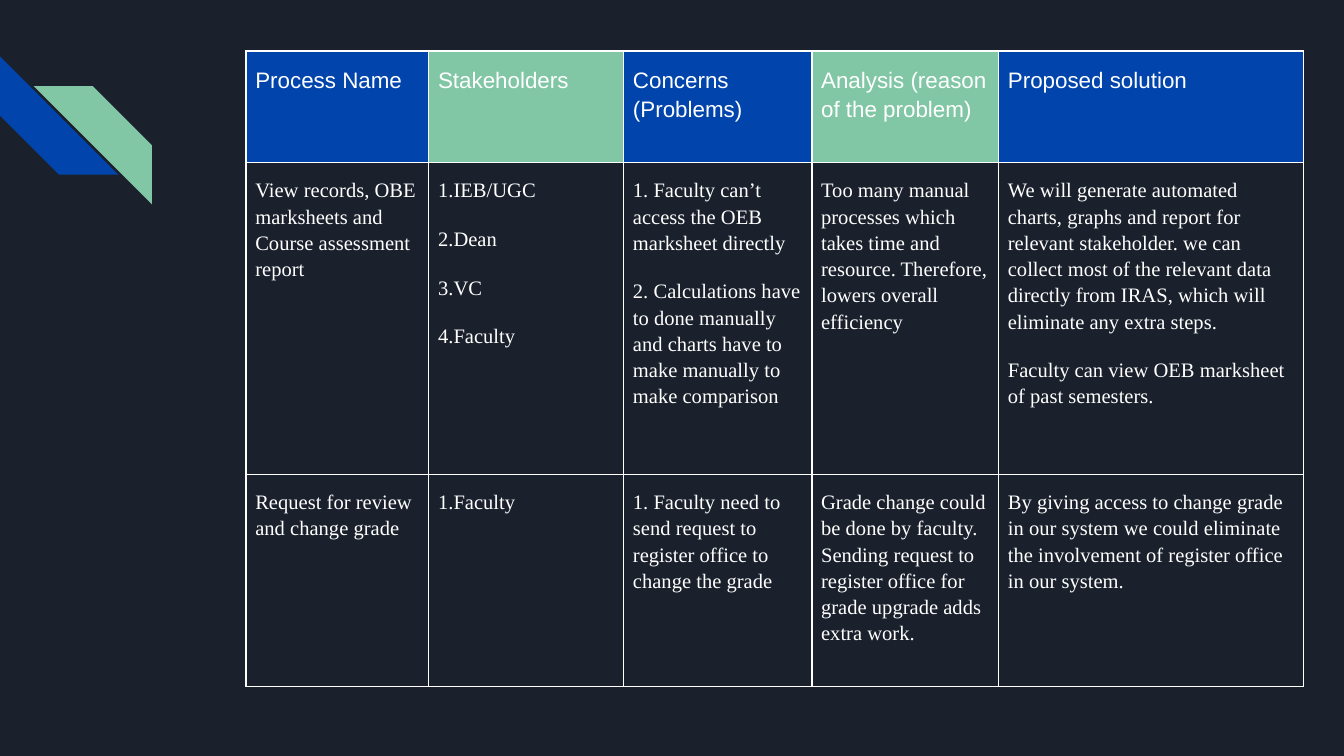
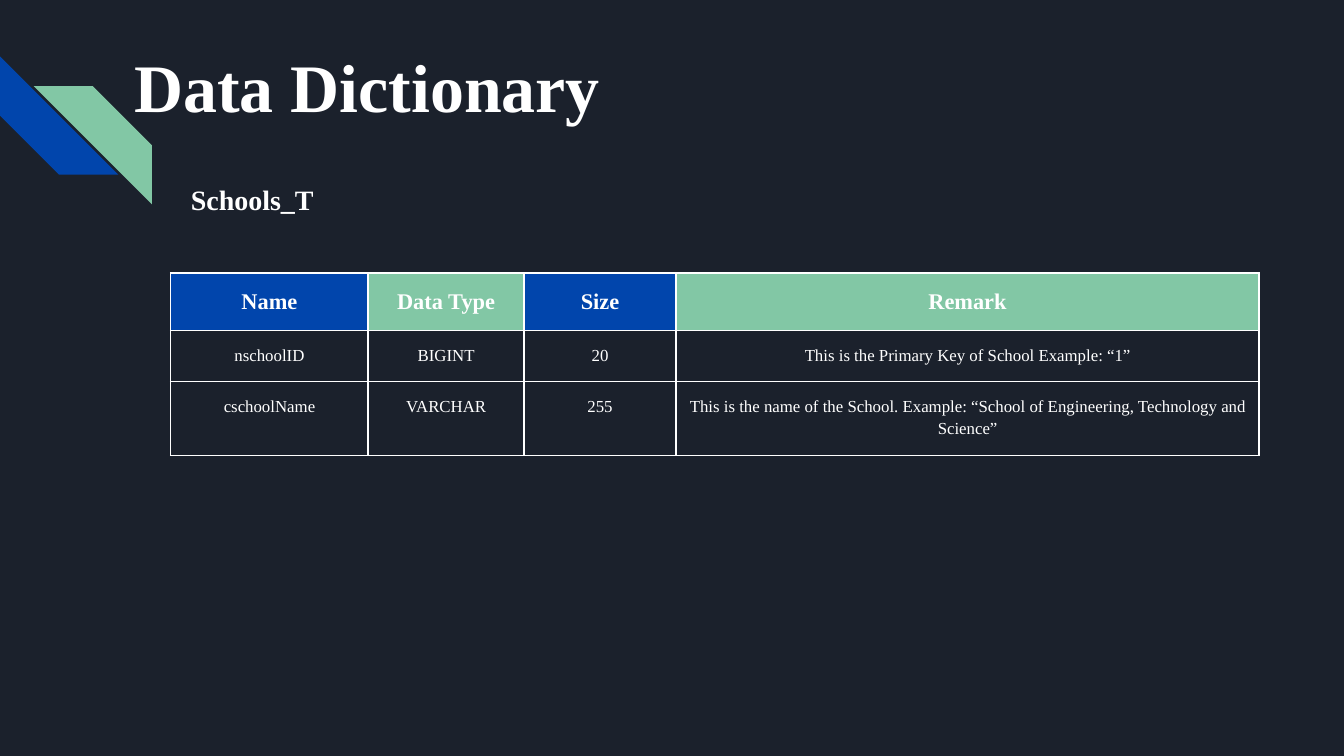
from dataclasses import dataclass

from lxml import etree
from pptx import Presentation
from pptx.dml.color import RGBColor
from pptx.enum.shapes import MSO_SHAPE
from pptx.enum.text import MSO_ANCHOR, MSO_AUTO_SIZE, PP_ALIGN
from pptx.oxml.ns import qn
from pptx.util import Inches, Pt

STRIPE = MSO_SHAPE.DIAGONAL_STRIPE
TOP = MSO_ANCHOR.TOP
FIXED = MSO_AUTO_SIZE.NONE
LEFT, CENTER = PP_ALIGN.LEFT, PP_ALIGN.CENTER
TITLE_ONLY, BLANK = 5, 6
WIDE, HIGH = Inches(10), Inches(5.625)
UNIT = WIDE / 100  # the grid has 100 columns, and rows of the same size


@dataclass(frozen=True)
class Theme:
    night: str = "1B212C"
    blue: str = "0145AC"
    green: str = "82C7A5"
    white: str = "FFFFFF"
    sans: str = "Arial"
    serif: str = "Times New Roman"
    title: float = 36.4
    label: float = 15
    head: float = 12
    body: float = 11
    small: float = 9
    lead: float = 1.15
    gap: float = 12
    rule: float = 1


def grid(*cells):
    """Turn grid units into lengths."""
    return [round(cell * UNIT) for cell in cells]


def tint(hue):
    return RGBColor.from_string(hue)


class Deck:
    def __init__(self, theme):
        self.theme = theme
        self.prs = Presentation()
        self.prs.slide_width, self.prs.slide_height = WIDE, HIGH
        self.slide = None
        back = self.prs.slide_master.background.fill
        back.solid()
        back.fore_color.rgb = tint(theme.night)

    def page(self, layout):
        self.slide = self.prs.slides.add_slide(self.prs.slide_layouts[layout])

    def stripe(self, left, top, hue, mark, turn=0, flip=False):
        """Draw a corner stripe and move it to the master."""
        shape = self.slide.shapes.add_shape(STRIPE, *grid(left, top, 8.8, 8.8))
        shape.shadow.inherit = False
        shape.adjustments[0] = 0.5
        shape.rotation = turn
        shape.fill.solid()
        shape.fill.fore_color.rgb = tint(hue)
        shape.line.fill.background()
        if flip:
            shape.element.spPr.xfrm.set("flipH", "1")
        shape.element.nvSpPr.cNvPr.set("id", str(mark))
        self.prs.slide_master.shapes.element.append(shape.element)

    def typeset(self, frame, text, font, size, bold=False, align=LEFT):
        frame.text = text
        frame.word_wrap = True
        for para in frame.paragraphs:
            para.alignment = align
            para.line_spacing = self.theme.lead
            para.space_before = Pt(self.theme.gap)
            for run in para.runs:
                run.font.name, run.font.size = font, Pt(size)
                run.font.bold = bold
                run.font.color.rgb = tint(self.theme.white)

    def title(self, text, *spot):
        shape = self.slide.shapes.title
        shape.left, shape.top, shape.width, shape.height = grid(*spot)
        frame = shape.text_frame
        self.typeset(frame, text, self.theme.serif, self.theme.title, True)
        frame.auto_size, frame.vertical_anchor = FIXED, TOP
        frame.margin_left, frame.margin_top = grid(1, 1.6)

    def label(self, text, *spot):
        frame = self.slide.shapes.add_textbox(*grid(*spot)).text_frame
        self.typeset(frame, text, self.theme.serif, self.theme.label, True)
        frame.margin_left, frame.margin_top = grid(1.5, 1)
        frame.paragraphs[0].space_after = Pt(self.theme.gap)

    def border(self, cell):
        props = cell._tc.get_or_add_tcPr()
        for side in ("lnL", "lnR", "lnT", "lnB"):
            line = etree.SubElement(props, qn(f"a:{side}"), w=str(Pt(self.theme.rule)))
            fill = etree.SubElement(line, qn("a:solidFill"))
            etree.SubElement(fill, qn("a:srgbClr"), val=self.theme.white)

    def table(self, left, top, cols, rows, data, font, size,
              bold=False, align=LEFT, head=None):
        """Draw a table; head is the type size of a banded first row."""
        spot = grid(left, top, sum(cols), sum(rows))
        table = self.slide.shapes.add_table(len(rows), len(cols), *spot).table
        table.first_row = table.horz_banding = False
        for col, width in zip(table.columns, grid(*cols)):
            col.width = width
        for row, height in zip(table.rows, grid(*rows)):
            row.height = height
        hues = self.theme.blue, self.theme.green
        for r, line in enumerate(data):
            top_row = head is not None and r == 0
            for c, text in enumerate(line):
                cell = table.cell(r, c)
                cell.margin_left = cell.margin_right = round(0.7 * UNIT)
                cell.margin_top = cell.margin_bottom = round(UNIT)
                self.border(cell)
                if top_row:
                    cell.fill.solid()
                    cell.fill.fore_color.rgb = tint(hues[c % 2])
                else:
                    cell.fill.background()
                self.typeset(cell.text_frame, text, font, head if top_row else size,
                             bold and top_row, align)


HEADS = [["Process Name", "Stakeholders", "Concerns (Problems)",
          "Analysis (reason of the problem)", "Proposed solution"]]
TASKS = [
    ["View records, OBE marksheets and Course assessment report",
     "1.IEB/UGC\n2.Dean\n3.VC\n4.Faculty",
     "1. Faculty can’t access the OEB marksheet directly\n"
     "2. Calculations have to done manually and charts have to make manually "
     "to make comparison",
     "Too many manual processes which takes time and resource. Therefore, "
     "lowers overall efficiency",
     "We will generate automated charts, graphs and report for relevant "
     "stakeholder. we can collect most of the relevant data directly from IRAS, "
     "which will eliminate any extra steps.\n"
     "Faculty can view OEB marksheet of past semesters."],
    ["Request for review and change grade",
     "1.Faculty",
     "1. Faculty need to send request to register office to change the grade",
     "Grade change could be done by faculty. Sending request to register office "
     "for grade upgrade adds extra work.",
     "By giving access to change grade in our system we could eliminate the "
     "involvement of register office in our system."],
]
FIELDS = [
    ["Name", "Data Type", "Size", "Remark"],
    ["nschoolID", "BIGINT", "20", "This is the Primary Key of School Example: “1”"],
    ["cschoolName", "VARCHAR", "255",
     "This is the name of the School. Example: “School of Engineering, "
     "Technology and Science”"],
]


def main():
    theme = Theme()
    deck = Deck(theme)

    deck.page(BLANK)
    deck.stripe(0, 4.2, theme.blue, 21, turn=270)
    deck.stripe(2.5, 6.4, theme.green, 22, flip=True)
    left, top, tall = 18.3, 3.8, 8.3
    cols = [13.6, 14.5, 14, 13.9, 22.7]
    deck.table(left, top, cols, [tall], HEADS, theme.sans, theme.head, head=theme.head)
    deck.table(left, top + tall, cols, [23.2, 15.8], TASKS, theme.serif, theme.body)

    deck.page(TITLE_ONLY)
    deck.title("Data Dictionary", 9, 0.8, 76.3, 7.8)
    deck.label("Schools_T", 12.7, 12.2, 28.5, 4.5)
    deck.table(12.7, 20.3, [14.7, 11.6, 11.3, 43.4], [4.3, 3.8, 5.5], FIELDS,
               theme.serif, theme.small, bold=True, align=CENTER, head=theme.head)

    deck.prs.save("out.pptx")


if __name__ == "__main__":
    main()
